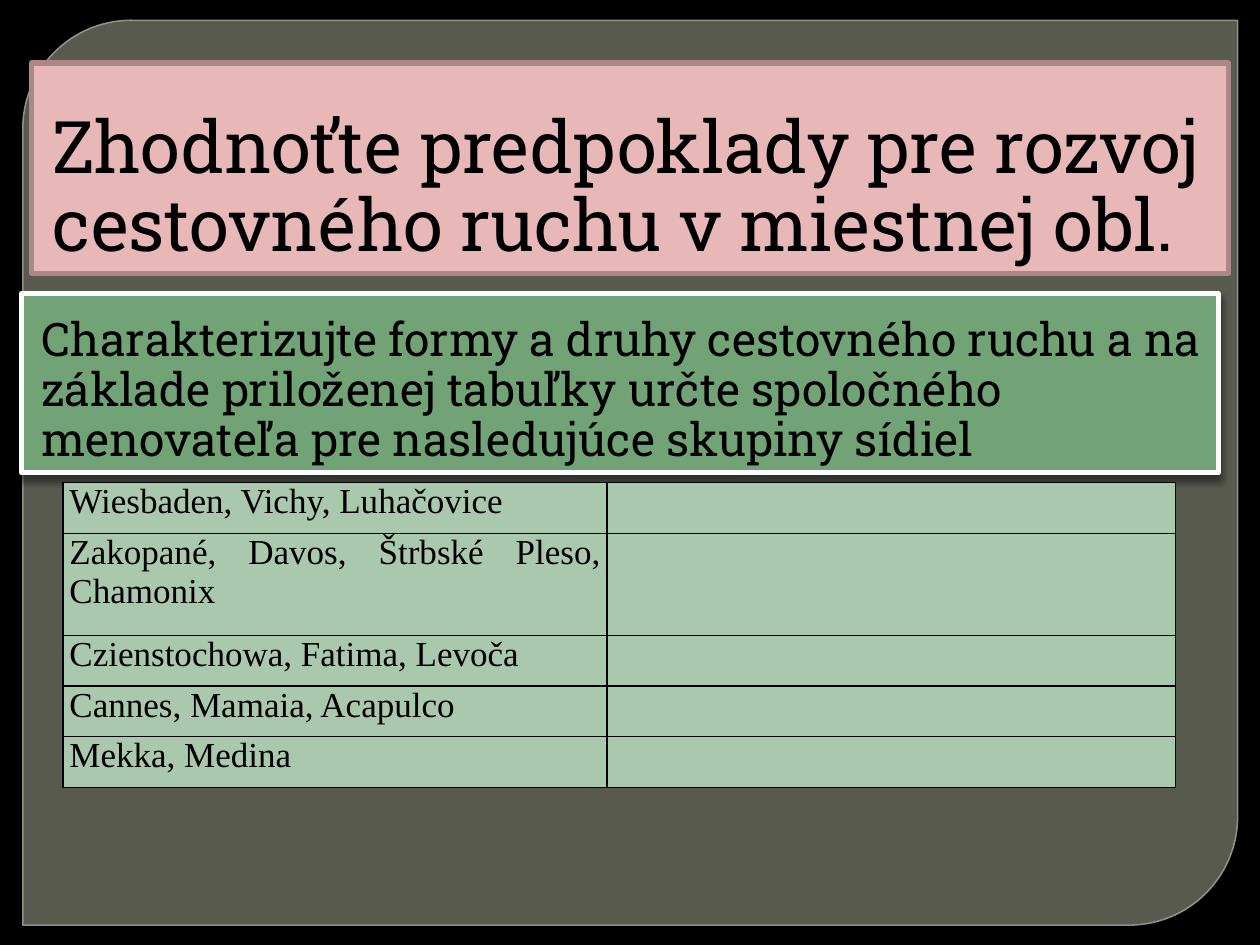
import pptx
import pptx.util
import pptx.dml.color
import pptx.enum.shapes
import pptx.enum.text
import pptx.oxml
import pptx.oxml.ns
from pptx.util import Cm

COLORS = {
    "background": "000000",
    "panel": "888B7B",
    "panel_line": "9DA090",
    "title": "E8B7B7",
    "title_line": "AC8787",
    "task": "72A376",
    "task_line": "FFFFFF",
    "cell": "AAC8AD",
    "ink": "000000",
}
NS = pptx.oxml.ns.nsdecls("a")


def paint(sp, name, line_width):
    sp.fill.solid()
    sp.fill.fore_color.rgb = pptx.dml.color.RGBColor.from_string(COLORS[name])
    sp.line.color.rgb = pptx.dml.color.RGBColor.from_string(COLORS[name + "_line"])
    sp.line.width = pptx.util.Pt(line_width)


def write(tf, text, font, size, align, spacing=None):
    p = tf.paragraphs[0]
    p.alignment = align
    if spacing:
        p.line_spacing = spacing
    r = p.add_run()
    r.text = text
    r.font.name = font
    r.font.size = pptx.util.Pt(size)
    r.font.color.rgb = pptx.dml.color.RGBColor.from_string(COLORS["ink"])


prs = pptx.Presentation()
prs.slide_width, prs.slide_height = Cm(25.4), Cm(19.05)
s = prs.slides.add_slide(prs.slide_layouts[5])
s.background.fill.solid()
s.background.fill.fore_color.rgb = pptx.dml.color.RGBColor.from_string(COLORS["background"])

# Translucent panel, behind the title
panel = s.shapes.add_shape(pptx.enum.shapes.MSO_SHAPE.ROUND_2_DIAG_RECTANGLE,
                           Cm(0.46), Cm(0.41), Cm(24.49), Cm(18.24))
panel.adjustments[0] = 0.12
panel.adjustments[1] = 0
panel.shadow.inherit = False
paint(panel, "panel", 0.87)
for fill, alpha in ((panel.fill, 65000), (panel.line.fill, 88000)):
    clr = fill._xPr.find(".//" + pptx.oxml.ns.qn("a:srgbClr"))
    clr.append(pptx.oxml.parse_xml(f'<a:alpha {NS} val="{alpha}"/>'))
s.shapes._spTree.insert(2, panel._element)

# Title and task
title = s.shapes.title
title.left, title.top, title.width, title.height = Cm(0.64), Cm(1.27), Cm(24.13), Cm(4.24)
paint(title, "title", 3)

task = s.shapes.add_shape(pptx.enum.shapes.MSO_SHAPE.RECTANGLE,
                          Cm(0.43), Cm(5.92), Cm(24.13), Cm(3.61))
paint(task, "task", 3)
task._element.spPr.append(pptx.oxml.parse_xml(
    f'<a:effectLst {NS}><a:outerShdw blurRad="50800" dist="38100" dir="5400000" rotWithShape="0">'
    '<a:srgbClr val="000000"><a:alpha val="43000"/></a:srgbClr></a:outerShdw></a:effectLst>'))

for sp, text, size in (
    (title, "Zhodnoťte predpoklady pre rozvoj cestovného ruchu v miestnej obl.", 41.4),
    (task, "Charakterizujte formy a druhy cestovného ruchu a na základe priloženej "
           "tabuľky určte spoločného menovateľa pre nasledujúce skupiny sídiel", 26.4),
):
    tf = sp.text_frame
    tf.word_wrap = True
    tf.auto_size = pptx.enum.text.MSO_AUTO_SIZE.NONE
    tf.vertical_anchor = pptx.enum.text.MSO_ANCHOR.BOTTOM
    tf.margin_left = Cm(0.41)
    write(tf, text, "Roboto Slab", size, pptx.enum.text.PP_ALIGN.LEFT, 0.9)

# Table of places, with an empty answer column
places = [
    "Wiesbaden, Vichy, Luhačovice",
    "Zakopané, Davos, Štrbské Pleso, Chamonix",
    "Czienstochowa, Fatima, Levoča",
    "Cannes, Mamaia, Acapulco",
    "Mekka, Medina",
]
table = s.shapes.add_table(len(places), 2, Cm(1.27), Cm(9.73), Cm(22.43), Cm(6.14)).table
table.columns[0].width, table.columns[1].width = Cm(10.97), Cm(11.46)
for i, place in enumerate(places):
    table.rows[i].height = Cm(2.06 if i == 1 else 1.02)
    for cell in table.rows[i].cells:
        cell.margin_left = cell.margin_right = Cm(0.13)
        cell.margin_top = cell.margin_bottom = 0
        for side in ("lnL", "lnR", "lnT", "lnB"):
            cell._tc.get_or_add_tcPr().append(pptx.oxml.parse_xml(
                f'<a:{side} {NS} w="12700"><a:solidFill><a:srgbClr val="{COLORS["ink"]}"/>'
                f'</a:solidFill></a:{side}>'))
        cell.fill.solid()
        cell.fill.fore_color.rgb = pptx.dml.color.RGBColor.from_string(COLORS["cell"])
    write(table.cell(i, 0).text_frame, place, "Times New Roman", 20,
          pptx.enum.text.PP_ALIGN.JUSTIFY)

prs.save("out.pptx")
